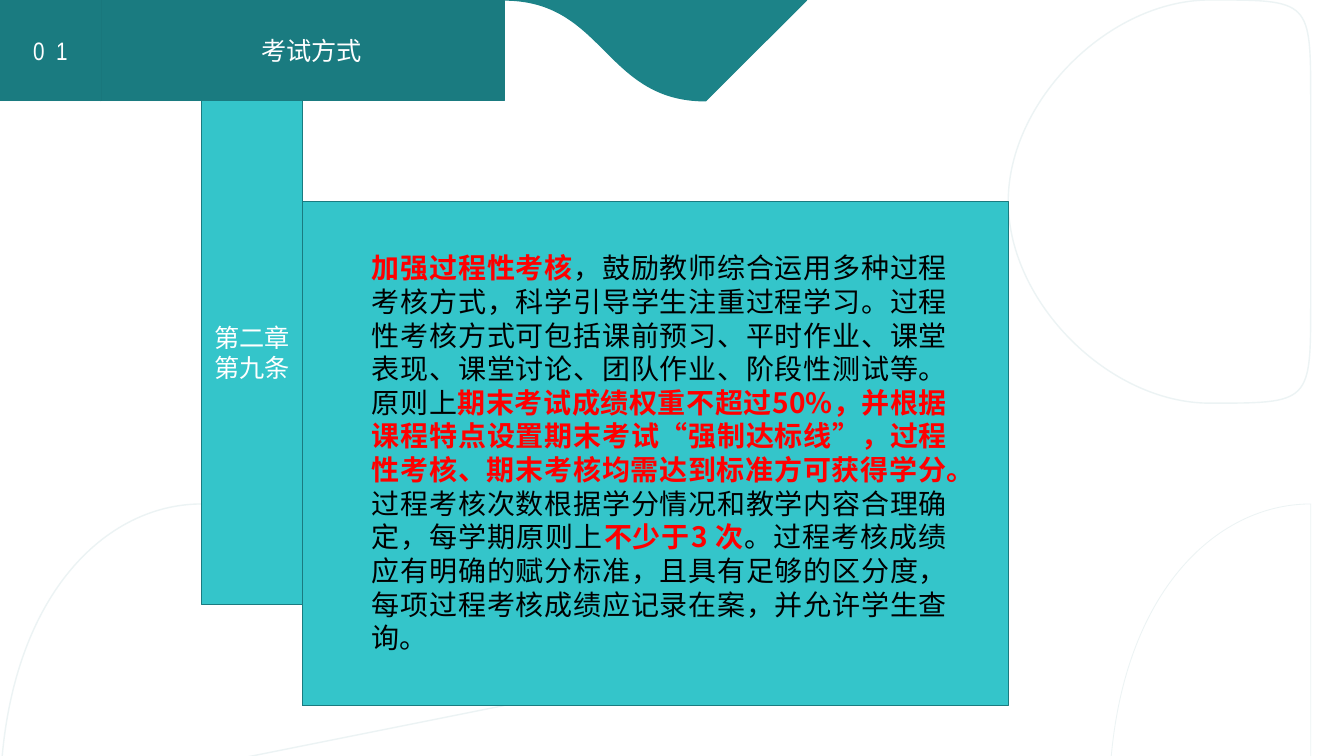
from math import ceil, cos, radians, sin, tan
from lxml.etree import SubElement
from pptx import Presentation
from pptx.dml.color import RGBColor
from pptx.enum.text import MSO_ANCHOR, MSO_AUTO_SIZE, PP_ALIGN
from pptx.oxml.ns import qn
from pptx.util import Inches, Pt

W, H = 13.33, 7.5
CJK, NARROW = "Noto Sans CJK SC", "Arial Narrow"
WHITE = RGBColor(0xFF, 0xFF, 0xFF)
BLACK = RGBColor(0, 0, 0)
RED = RGBColor(0xFF, 0, 0)
PALE = RGBColor(0xEC, 0xF3, 0xF4)
TEAL = RGBColor(0x1A, 0x7B, 0x80)
DARK_TEAL = RGBColor(0x14, 0x5E, 0x62)
DISC_TEAL = RGBColor(0x1C, 0x83, 0x88)
AQUA = RGBColor(0x34, 0xC5, 0xCA)

TITLE = "考试方式"
NUMBER = ["0  1"]
ARTICLE = ["第二章", "第九条"]
BODY = [
    ("加强过程性考核", True),
    ("，鼓励教师综合运用多种过程考核方式，科学引导学生注重过程学习。过程性考核方式可包括"
     "课前预习、平时作业、课堂表现、课堂讨论、团队作业、阶段性测试等。原则上", False),
    ("期末考试成绩权重不超过50%，并根据课程特点设置期末考试“强制达标线”，"
     "过程性考核、期末考核均需达到标准方可获得学分。", True),
    ("过程考核次数根据学分情况和教学内容合理确定，每学期原则上", False),
    ("不少于3 次", True),
    ("。过程考核成绩应有明确的赋分标准，且具有足够的区分度，"
     "每项过程考核成绩应记录在案，并允许学生查询。", False),
]

CIRCLES = [
    (2.42, H, 2.42, 180, 360, [], WHITE, PALE, 1),
    (1.7, -1.84, 2.9, 39.38, 125.9, [(0, 0)], WHITE, PALE, 0.6),
    (W, H, 2.33, 180, 270, [(W, H)], WHITE, PALE, 0.6),
    (W / 2, -1.18, 1.85, 39.63, 140.37, [], DISC_TEAL, DISC_TEAL, 1),
    (12.16, 2.07, 1.84, 50.5, 309.5, [], WHITE, PALE, 1),
]
RIBBONS = [
    dict(xs=(0.16, 0.85, 1.1, 5.08), top=0.06, drop=0.13, height=0.63,
         rx=0.09, ry=0.09, fill=TEAL, fold=DARK_TEAL, lines=NUMBER, font=NARROW),
    dict(xs=(1.51, 2.7, 3.13, 9.95), top=0.82, drop=1.06, height=5.1,
         rx=0.15, ry=0.68, fill=AQUA, fold=AQUA, lines=ARTICLE, font=NARROW),
]


def arc(cx, cy, rx, ry, start, end):
    def at(a, k=0):
        return cx + rx * (cos(a) - k * sin(a)), cy + ry * (sin(a) + k * cos(a))

    quarters = range(90 * (int(start // 90) + 1), ceil(end), 90)
    stops = [radians(a) for a in (start, *quarters, end)]
    steps = [[at(stops[0])]]
    for a, b in zip(stops, stops[1:]):
        k = 4 / 3 * tan((b - a) / 4)
        steps.append([at(a, k), at(b, -k), at(b)])
    return steps


def outline(shapes, steps, fill, line, width):
    fb = shapes.build_freeform(*steps[0][0], scale=Inches(1))
    fb.add_line_segments([pt for step in steps[1:] for pt in step], close=True)
    sp = fb.convert_to_shape()
    segments = iter(list(sp._element.iter(qn("a:lnTo"))))
    for step in steps[1:]:
        parts = [next(segments) for pt in step]
        if len(parts) == 3:
            curve = parts[0].makeelement(qn("a:cubicBezTo"))
            parts[0].addprevious(curve)
            for part in parts:
                curve.append(part[0])
                part.getparent().remove(part)
    sp.shadow.inherit = False
    sp.fill.solid()
    sp.fill.fore_color.rgb = fill
    sp.line.color.rgb = line
    sp.line.width = Pt(width)
    return sp


def style(r, size, font, color, bold=False):
    r.font.size, r.font.name, r.font.bold = Pt(size), font, bold
    r.font.color.rgb = color
    SubElement(r.font._element, qn("a:ea")).set("typeface", CJK)


def label(sp, lines, font):
    tf = sp.text_frame
    tf.text = "\n".join(lines)
    tf.word_wrap = True
    tf.vertical_anchor = MSO_ANCHOR.MIDDLE
    tf.margin_left = tf.margin_right = tf.margin_top = tf.margin_bottom = 0
    for p in tf.paragraphs:
        p.alignment = PP_ALIGN.CENTER
        p.line_spacing = Pt(21.5)
        style(p.runs[0], 18, font, WHITE)


def half_round(edge, side, top, height, rx, ry):
    inward = 1 if side < edge else -1
    cx, bottom = side + inward * rx, top + height
    return ([[(edge, bottom)], [(edge, top)]]
            + arc(cx, top + ry, -inward * rx, ry, -90, 0)
            + arc(cx, bottom - ry, -inward * rx, ry, 0, 90))


def ribbon(shapes, xs, top, drop, height, rx, ry, fill, fold, lines, font):
    left, fold_l, fold_r, right = xs
    low = top + drop
    g = shapes.add_group_shape().shapes
    outline(g, half_round(fold_r, right, low, height, rx, ry), fill, TEAL, 0.6)
    outline(g, [[(fold_l, top)], [(fold_r, low)], [(fold_r, low + height)],
                [(fold_l, top + height)]], fold, TEAL, 0.6)
    tab = outline(g, half_round(fold_l, left, top, height, rx, ry), fill, TEAL, 0.6)
    label(tab, lines, font)


prs = Presentation()
prs.slide_width, prs.slide_height = Inches(W), Inches(H)
s = prs.slides.add_slide(prs.slide_layouts[5])

for cx, cy, radius, start, end, corner, fill, line, width in CIRCLES:
    steps = arc(cx, cy, radius, radius, start, end) + [[pt] for pt in corner]
    outline(s.shapes, steps, fill, line, width)

for row in RIBBONS:
    ribbon(s.shapes, **row)

header = RIBBONS[0]
title = s.shapes.title
title.left, title.top = Inches(header["xs"][2]), Inches(header["top"] + header["drop"])
title.width = Inches(header["xs"][3] - header["xs"][2])
title.height = Inches(header["height"])
label(title, [TITLE], CJK)
title.text_frame.auto_size = MSO_AUTO_SIZE.NONE
s.shapes._spTree.append(title._element)

box = s.shapes.add_textbox(Inches(3.59), Inches(2.44), Inches(5.9), Inches(4.14))
tf = box.text_frame
tf.word_wrap = True
p = tf.paragraphs[0]
p.alignment = PP_ALIGN.JUSTIFY
p.line_spacing = Pt(24)
for text, strong in BODY:
    r = p.add_run()
    r.text = text
    style(r, 20, CJK, RED if strong else BLACK, strong)

prs.save("out.pptx")
